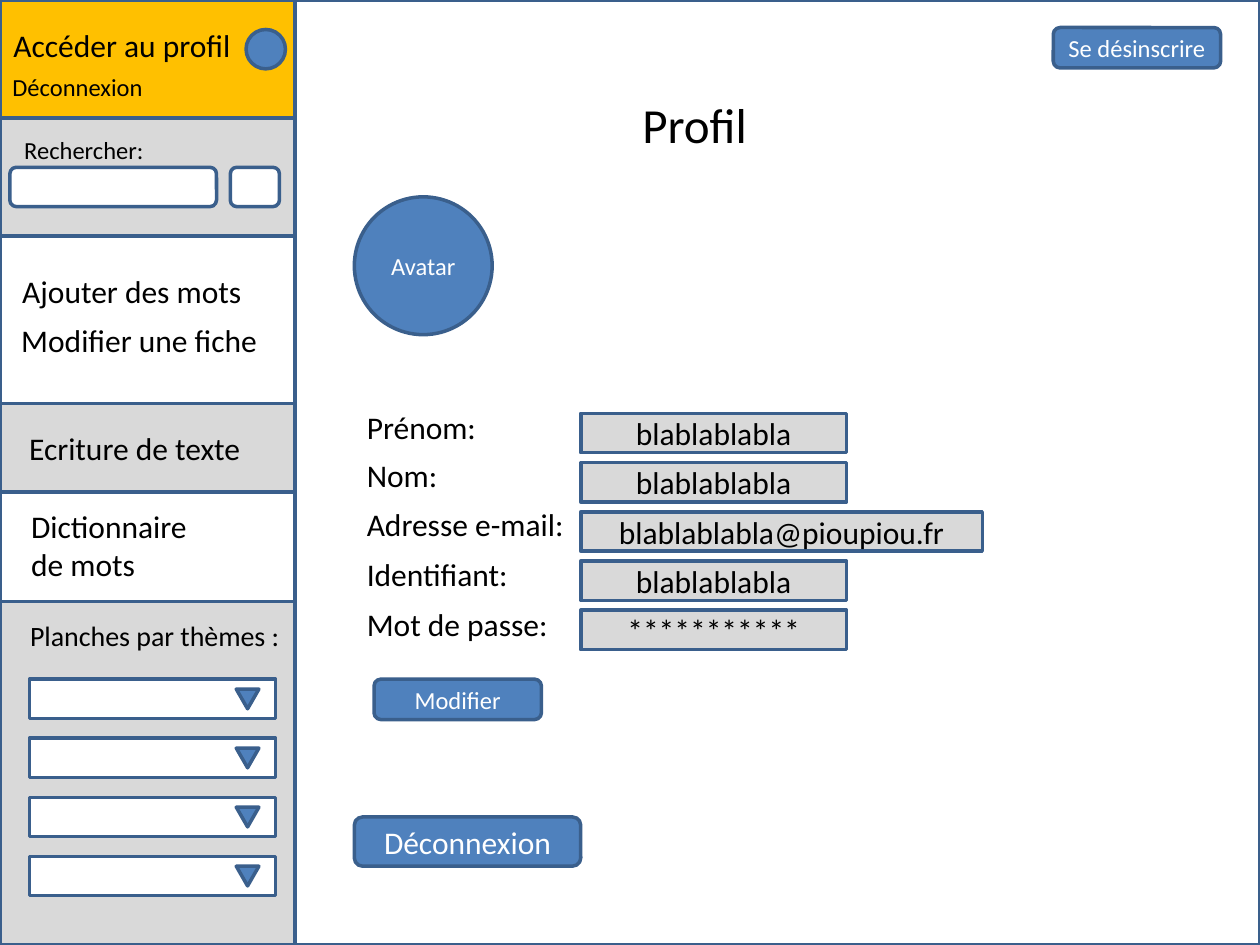
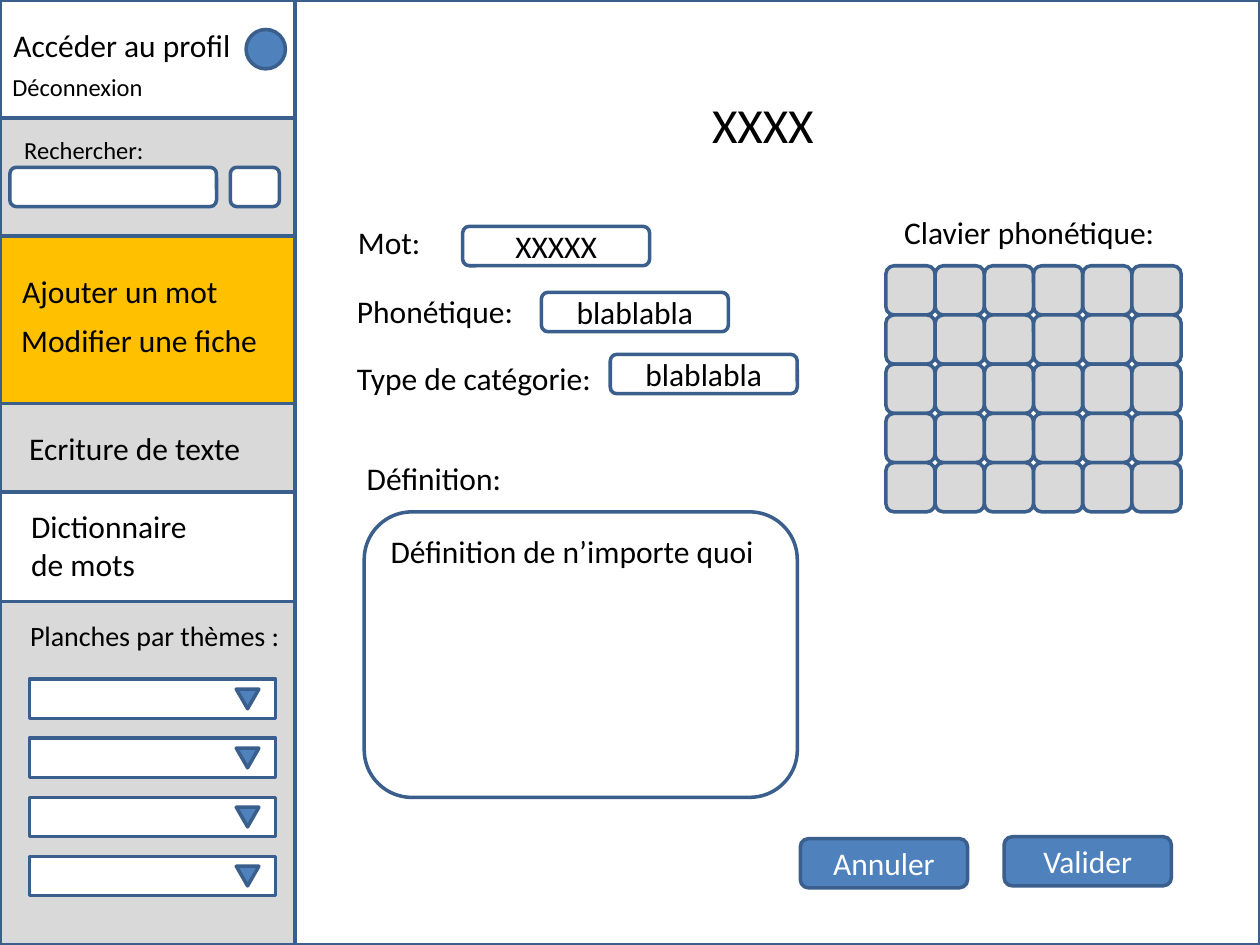
from pptx import Presentation
from pptx.dml.color import RGBColor
from pptx.enum.shapes import MSO_SHAPE
from pptx.enum.text import MSO_ANCHOR, MSO_AUTO_SIZE, PP_ALIGN
from pptx.util import Emu, Pt

EMU_PER_PX = 7143.75
SLIDE_W, SLIDE_H = 1280, 960
MENU_W = 300
FIELD_H = 40
LABEL_H = 51
BUTTON_W = 170
KEY = 50

WHITE = RGBColor(0xFF, 0xFF, 0xFF)
BLACK = RGBColor(0x00, 0x00, 0x00)
GREY = RGBColor(0xD9, 0xD9, 0xD9)
BLUE = RGBColor(0x4F, 0x81, 0xBD)
BORDER = RGBColor(0x3A, 0x5F, 0x8C)
ACTIVE = RGBColor(0xFF, 0xC0, 0x00)
FONT = "Calibri"

RECT = MSO_SHAPE.RECTANGLE
ROUNDED = MSO_SHAPE.ROUNDED_RECTANGLE
CIRCLE = MSO_SHAPE.OVAL
TRIANGLE = MSO_SHAPE.ISOSCELES_TRIANGLE
TOP, MIDDLE = MSO_ANCHOR.TOP, MSO_ANCHOR.MIDDLE
LEFT, CENTER = PP_ALIGN.LEFT, PP_ALIGN.CENTER
GROW = MSO_AUTO_SIZE.SHAPE_TO_FIT_TEXT


def add_box(slide, kind, box, fill, text="", size=18, color=BLACK, align=CENTER, anchor=MIDDLE):
    shape = slide.shapes.add_shape(kind, *[Emu(round(v * EMU_PER_PX)) for v in box])
    shape.shadow.inherit = False
    shape.fill.solid()
    shape.fill.fore_color.rgb = fill
    shape.line.color.rgb = BORDER
    shape.line.width = Pt(2)
    if text:
        shape.text_frame.vertical_anchor = anchor
        paragraph = shape.text_frame.paragraphs[0]
        paragraph.alignment = align
        run = paragraph.add_run()
        run.text = text
        run.font.name, run.font.size = FONT, Pt(size)
        run.font.color.rgb = color
    return shape


def add_label(slide, box, text, size=18, wrap=False, align=LEFT):
    label = slide.shapes.add_textbox(*[Emu(round(v * EMU_PER_PX)) for v in box])
    label.text_frame.word_wrap = wrap
    label.text_frame.auto_size = GROW
    paragraph = label.text_frame.paragraphs[0]
    paragraph.alignment = align
    run = paragraph.add_run()
    run.text = text
    run.font.name, run.font.size = FONT, Pt(size)
    run.font.color.rgb = BLACK


prs = Presentation()
prs.slide_width = Emu(round(SLIDE_W * EMU_PER_PX))
prs.slide_height = Emu(round(SLIDE_H * EMU_PER_PX))
blank = prs.slide_layouts[6]

menu_bands = [
    ("themes", SLIDE_H, GREY),
    ("dictionary", 611, WHITE),
    ("writing", 500, GREY),
    ("words", 410, WHITE),
    ("search", 240, GREY),
    ("account", 120, WHITE),
]

pages = []
for active_band, add_word, add_word_w in [
    ("account", "Ajouter des mots", 251),
    ("words", "Ajouter un mot", 227),
]:
    page = prs.slides.add_slide(blank)
    pages.append(page)
    add_box(page, RECT, (0, 0, SLIDE_W, SLIDE_H), WHITE)
    add_box(page, RECT, (0, 0, 280, SLIDE_H), WHITE)
    for band, bottom, fill in menu_bands:
        add_box(page, RECT, (0, 0, MENU_W, bottom), ACTIVE if band == active_band else fill)

    add_label(page, (1, 20, 250, LABEL_H), "Accéder au profil")
    add_box(page, CIRCLE, (250, 30, 40, 40), BLUE)
    add_label(page, (0, 67, 160, 43), "Déconnexion", 14)
    add_label(page, (12, 131, 148, 43), "Rechercher:", 14)
    for left, width in [(10, 210), (234, 50)]:
        add_box(page, ROUNDED, (left, 170, width, FIELD_H), WHITE)
    add_label(page, (10, 270, add_word_w, LABEL_H), add_word)
    add_label(page, (9, 320, 269, LABEL_H), "Modifier une fiche")
    add_label(page, (17, 430, 243, LABEL_H), "Ecriture de texte")
    add_label(page, (19, 509, 200, 91), "Dictionnaire de mots", wrap=True)
    add_label(page, (18, 622, 282, 47), "Planches par thèmes :", 16)
    for top in range(690, 930, 60):
        add_box(page, RECT, (30, top, 250, FIELD_H), WHITE)
        add_box(page, TRIANGLE, (240, top + 10, 23, 20), BLUE).rotation = 180

profile, word_card = pages

add_label(profile, (640, 90, 140, 73), "Profil", 28, wrap=True)
add_box(profile, CIRCLE, (360, 200, 140, 140), BLUE, "Avatar", 14, WHITE)
profile_rows = [
    ("Prénom:", 408, "blablablabla", 270),
    ("Nom:", 457, "blablablabla", 270),
    ("Adresse e-mail:", 507, "blablablabla@pioupiou.fr", 408),
    ("Identifiant:", 558, "blablablabla", 270),
    ("Mot de passe:", 608, "***********", 270),
]
for row, (caption, caption_top, value, value_w) in enumerate(profile_rows):
    add_label(profile, (360, caption_top, 250, LABEL_H), caption, wrap=True)
    add_box(profile, RECT, (590, 420 + 50 * row, value_w, FIELD_H), GREY, value)
for left, top, caption in [(1070, 28, "Se désinscrire"), (380, 690, "Modifier")]:
    add_box(profile, ROUNDED, (left, top, BUTTON_W, 41), BLUE, caption, 14, WHITE)
add_box(profile, ROUNDED, (360, 830, 230, 50), BLUE, "Déconnexion", 18, WHITE)

add_label(word_card, (600, 90, 350, 73), "XXXX", 28, wrap=True, align=CENTER)
for caption, left, top, width, field_left, field_top, value in [
    ("Mot:", 351, 220, 90, 470, 230, "XXXXX"),
    ("Phonétique:", 350, 290, 187, 550, 297, "blablabla"),
    ("Type de catégorie:", 350, 358, 266, 620, 360, "blablabla"),
]:
    add_label(word_card, (left, top, width, LABEL_H), caption)
    add_box(word_card, ROUNDED, (field_left, field_top, 190, FIELD_H), WHITE, value)

add_label(word_card, (360, 460, 164, LABEL_H), "Définition:")
add_box(word_card, ROUNDED, (370, 520, 440, 290), WHITE,
        "Définition de n’importe quoi", align=LEFT, anchor=TOP)

add_label(word_card, (906, 210, 284, LABEL_H), "Clavier phonétique:")
for key_row in range(5):
    for key_column in range(6):
        add_box(word_card, ROUNDED, (900 + KEY * key_column, 270 + KEY * key_row, KEY, KEY), GREY)

for left, top, caption in [(813, 852, "Annuler"), (1020, 850, "Valider")]:
    add_box(word_card, ROUNDED, (left, top, BUTTON_W, 50), BLUE, caption, 18, WHITE)

prs.save("out.pptx")
